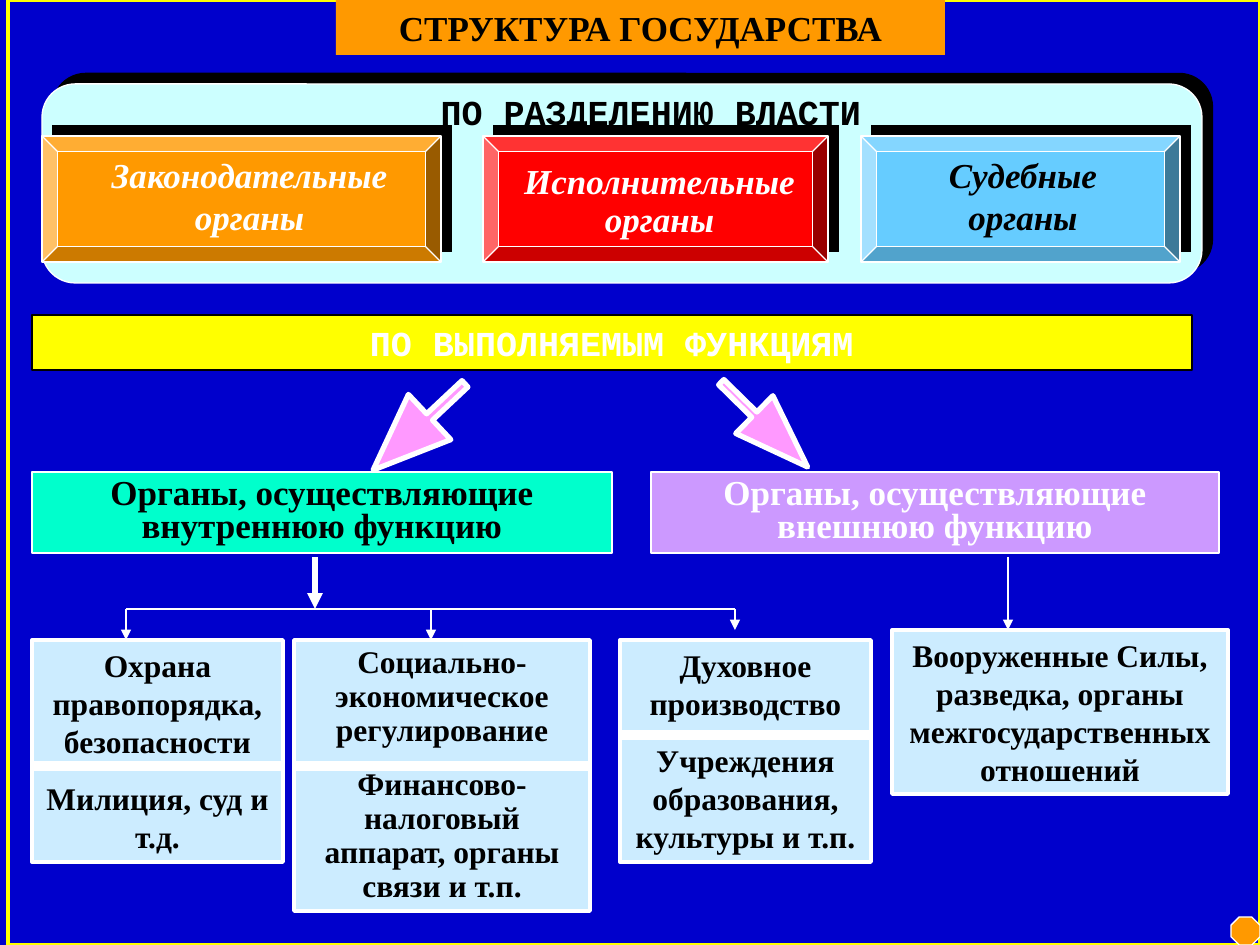
from dataclasses import dataclass

from lxml import etree
from pptx import Presentation
from pptx.dml.color import RGBColor
from pptx.enum.shapes import MSO_CONNECTOR, MSO_SHAPE
from pptx.enum.text import MSO_ANCHOR, MSO_AUTO_SIZE, PP_ALIGN
from pptx.oxml.ns import qn
from pptx.util import Emu, Pt

RECTANGLE, BEVEL = MSO_SHAPE.RECTANGLE, MSO_SHAPE.BEVEL
ROUNDED, OCTAGON = MSO_SHAPE.FLOWCHART_ALTERNATE_PROCESS, MSO_SHAPE.OCTAGON
DOWN_ARROW = MSO_SHAPE.DOWN_ARROW
STRAIGHT = MSO_CONNECTOR.STRAIGHT
TOP, CENTER = MSO_ANCHOR.TOP, PP_ALIGN.CENTER
NO_AUTOFIT = MSO_AUTO_SIZE.NONE

SERIF, MONO = "Times New Roman", "Courier New"
COLORS = {
    "blue": "0000CC", "yellow": "FFFF00", "orange": "FF9900", "white": "FFFFFF",
    "black": "000000", "pale cyan": "CCFFFF", "sky": "66CCFF", "red": "FF0000",
    "mint": "00FFCC", "lilac": "CC99FF", "ice": "CCECFF", "pink": "FF99FF",
}
Area = tuple[int, int, int, int]


@dataclass
class Branch:
    area: Area
    fill: str
    label: str
    label_area: Area
    color: str = "white"
    line_spacing: float = 1.0


@dataclass
class Duty:
    area: Area
    paragraphs: list[str]
    divider: int | None = None
    line_spacing: float = 1.0


BRANCHES = [
    Branch((42, 136, 399, 126), "orange", "Законодательные органы", (84, 147, 331, 97)),
    Branch((483, 136, 345, 126), "red", "Исполнительные органы", (504, 158, 311, 88),
           line_spacing=0.9),
    Branch((861, 136, 319, 126), "sky", "Судебные органы", (892, 147, 262, 97), "black"),
]
FUNCTIONS = [
    ((32, 472, 580, 81), "mint", "black", "Органы, осуществляющие внутреннюю функцию"),
    ((651, 472, 568, 81), "lilac", "white", "Органы, осуществляющие внешнюю функцию"),
]
DUTIES = [
    Duty((32, 640, 251, 222),
         ["Охрана правопорядка, безопасности", "Милиция, суд и т.д."], 766),
    Duty((294, 640, 296, 271),
         ["Социально-экономическое регулирование",
          "Финансово-налоговый аппарат, органы связи и т.п."], 766, 0.9),
    Duty((620, 640, 251, 222),
         ["Духовное производство", "Учреждения образования, культуры и т.п."], 735),
    Duty((892, 630, 336, 164),
         ["Вооруженные Силы, разведка, органы межгосударственных отношений"]),
]
BLOCK_ARROWS = [((388, 364, 62, 126), 46.8, 1.25), ((738, 364, 53, 121), 314.5, 1.41)]
BRANCH_LINE_Y = 609
ARROWS = [
    (126, BRANCH_LINE_Y, 640, 0.75), (431, BRANCH_LINE_Y, 640, 0.75),
    (735, BRANCH_LINE_Y, 630, 0.75), (1008, 557, 630, 0.75),
    (315, 557, BRANCH_LINE_Y, 3),
]


def px(length: int) -> Emu:
    return Emu(round(length * 914400 / 126))


def rgb(name: str) -> RGBColor:
    return RGBColor.from_string(COLORS[name])


def add_box(page, kind, area: Area, fill: str | None, line: str = "white",
            width: float = 0.75):
    box = page.shapes.add_shape(kind, *map(px, area))
    box.shadow.inherit = False
    if fill is None:
        box.fill.background()
    else:
        box.fill.solid()
        box.fill.fore_color.rgb = rgb(fill)
    box.line.color.rgb = rgb(line)
    box.line.width = Pt(width)
    return box


def add_hard_shadow(box) -> None:
    """Offset a solid black shadow up and to the right."""
    effects = box.element.spPr.find(qn("a:effectLst"))
    shadow = etree.SubElement(effects, qn("a:outerShdw"), dist=str(Pt(8.5)),
                              dir="18900000", algn="ctr", rotWithShape="0")
    etree.SubElement(shadow, qn("a:srgbClr"), val=COLORS["black"])


def write(box, *paragraphs: str, size: int = 20, font: str = SERIF,
          color: str = "black", italic: bool = False, line_spacing: float = 1.0,
          space_before: float = 12.5) -> None:
    frame = box.text_frame
    frame.word_wrap = True
    frame.auto_size = NO_AUTOFIT
    frame.vertical_anchor = TOP
    for index, text in enumerate(paragraphs):
        para = frame.add_paragraph() if index else frame.paragraphs[0]
        para.alignment = CENTER
        para.line_spacing = line_spacing
        para.space_before = Pt(space_before)
        span = para.add_run()
        span.text = text
        span.font.name = font
        span.font.size = Pt(size)
        span.font.bold = True
        span.font.italic = italic
        span.font.color.rgb = rgb(color)


def add_text(page, area: Area, text: str, **text_format) -> None:
    write(page.shapes.add_textbox(*map(px, area)), text, **text_format)


def add_line(page, start: tuple[int, int], end: tuple[int, int],
             width: float = 0.75, arrow: bool = False) -> None:
    line = page.shapes.add_connector(STRAIGHT, *map(px, start + end))
    line.line.color.rgb = rgb("white")
    line.line.width = Pt(width)
    if arrow:
        etree.SubElement(line.line._get_or_add_ln(), qn("a:tailEnd"), type="triangle")
    etree.SubElement(line.element.spPr, qn("a:effectLst"))


def add_title(page) -> None:
    title = page.shapes.title
    title.left, title.top, title.width, title.height = map(px, (336, 0, 609, 55))
    title.fill.solid()
    title.fill.fore_color.rgb = rgb("orange")
    write(title, "СТРУКТУРА ГОСУДАРСТВА")
    page.shapes.element.append(title.element)  # in front of the frame


def add_powers(page) -> None:
    add_hard_shadow(add_box(page, ROUNDED, (42, 84, 1160, 199), "pale cyan"))
    for branch in BRANCHES:
        add_hard_shadow(add_box(page, BEVEL, branch.area, branch.fill))
        add_text(page, branch.label_area, branch.label, color=branch.color,
                 italic=True, line_spacing=branch.line_spacing)
    add_text(page, (168, 84, 966, 55), "ПО РАЗДЕЛЕНИЮ ВЛАСТИ", font=MONO)


def add_functions(page) -> None:
    bar = add_box(page, RECTANGLE, (32, 315, 1160, 55), "yellow", "black")
    write(bar, "ПО ВЫПОЛНЯЕМЫМ ФУНКЦИЯМ", font=MONO, color="white")
    for area, fill, color, text in FUNCTIONS:
        write(add_box(page, RECTANGLE, area, fill), text, color=color, line_spacing=0.8)
    for duty in DUTIES:
        box = add_box(page, RECTANGLE, duty.area, "ice", width=2.25)
        write(box, *duty.paragraphs, size=18, line_spacing=duty.line_spacing,
              space_before=11.2)
        if duty.divider:
            left, _, width, _ = duty.area
            add_line(page, (left, duty.divider), (left + width, duty.divider), 6)
    add_line(page, (126, BRANCH_LINE_Y), (735, BRANCH_LINE_Y))
    for x, top, bottom, width in ARROWS:
        add_line(page, (x, top), (x, bottom), width, arrow=True)
    for area, rotation, head in BLOCK_ARROWS:
        arrow = add_box(page, DOWN_ARROW, area, "pink", width=3)
        arrow.rotation = rotation
        arrow.adjustments[0], arrow.adjustments[1] = 0.14, head


def main() -> None:
    deck = Presentation()
    deck.slide_width, deck.slide_height = px(1260), px(945)
    page = deck.slides.add_slide(deck.slide_layouts[5])
    page.background.fill.solid()
    page.background.fill.fore_color.rgb = rgb("blue")
    add_box(page, RECTANGLE, (8, 0, 1252, 945), None, "yellow", 2.25)
    add_box(page, OCTAGON, (1231, 917, 29, 28), "orange")
    add_powers(page)
    add_functions(page)
    add_title(page)
    deck.save("out.pptx")


if __name__ == "__main__":
    main()
